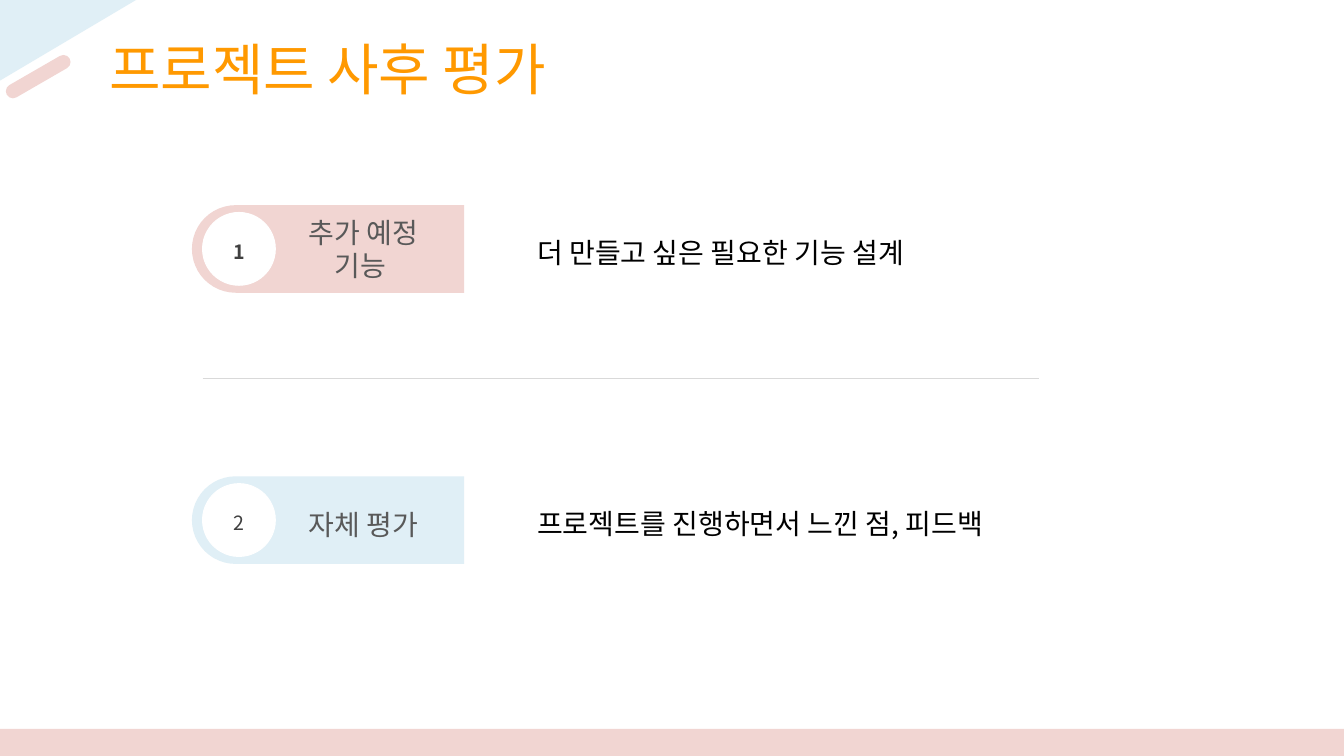
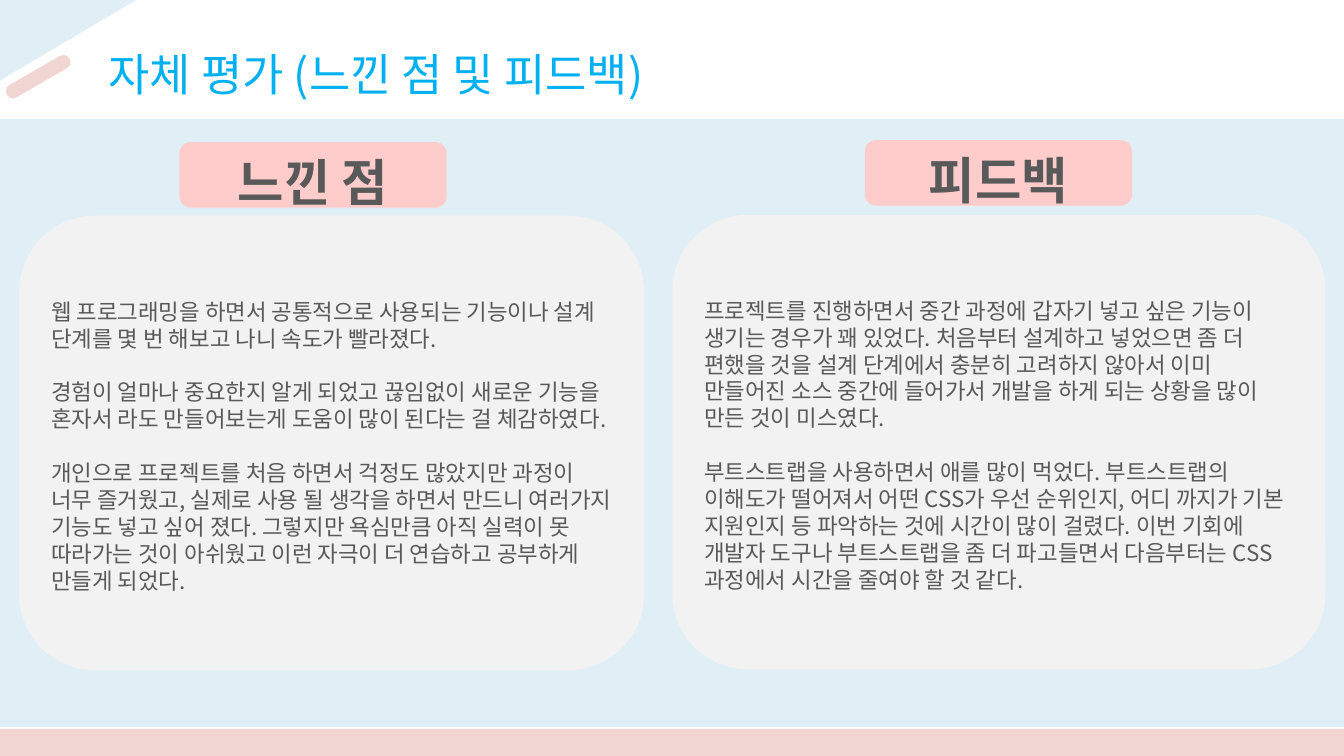
from dataclasses import dataclass

from lxml import etree
from pptx import Presentation
from pptx.dml.color import RGBColor
from pptx.enum.shapes import MSO_CONNECTOR, MSO_SHAPE
from pptx.enum.text import MSO_ANCHOR, PP_ALIGN
from pptx.oxml.ns import qn
from pptx.util import Pt

RECT = MSO_SHAPE.RECTANGLE
ROUNDED = MSO_SHAPE.ROUNDED_RECTANGLE
ROUND_TOP = MSO_SHAPE.ROUND_2_SAME_RECTANGLE
OVAL = MSO_SHAPE.OVAL
STRAIGHT = MSO_CONNECTOR.STRAIGHT
TOP, MIDDLE = MSO_ANCHOR.TOP, MSO_ANCHOR.MIDDLE
LEFT, CENTER = PP_ALIGN.LEFT, PP_ALIGN.CENTER


@dataclass(frozen=True)
class Theme:
    width: float = 960
    height: float = 540
    korean: str = "Noto Sans CJK KR"
    fallback: str = "Noto Sans CJK SC"
    white: str = "FFFFFF"
    sky: str = "E0EFF6"
    rose: str = "F1D5D2"
    pink: str = "FFCCCC"
    panel: str = "F2F2F2"
    divider: str = "D9D9D9"
    orange: str = "FF9900"
    blue: str = "00B0F0"
    black: str = "000000"
    dark: str = "404040"
    gray: str = "595959"
    title_size: float = 40
    subtitle_size: float = 32
    heading_size: float = 36
    label_size: float = 20
    body_size: float = 16
    number_size: float = 14
    inset: float = 7.2
    inset_top: float = 3.6
    line_height: float = 1.2


THEME = Theme()


@dataclass(frozen=True)
class Box:
    left: float
    top: float
    width: float
    height: float

    def lengths(self) -> tuple:
        return Pt(self.left), Pt(self.top), Pt(self.width), Pt(self.height)


@dataclass(frozen=True)
class TextStyle:
    size: float
    color: str
    font: str = THEME.korean
    bold: bool = False
    align: PP_ALIGN = CENTER
    anchor: MSO_ANCHOR = TOP
    inset: float = THEME.inset
    inset_top: float = THEME.inset_top
    spacing: float = 1
    gap: float = 0


@dataclass(frozen=True)
class Topic:
    number: str
    label: tuple
    description: str
    middle: float
    color: str
    bold: bool


@dataclass(frozen=True)
class Review:
    heading: str
    heading_box: Box
    body_box: Box
    paragraphs: tuple


LABEL = TextStyle(THEME.label_size, THEME.gray, THEME.fallback)
DESCRIPTION = TextStyle(THEME.label_size, THEME.black, THEME.fallback,
                        align=LEFT, spacing=1.2)
HEADING = TextStyle(THEME.heading_size, THEME.gray, bold=True, anchor=MIDDLE)
BODY = TextStyle(THEME.body_size, THEME.gray, align=LEFT, anchor=MIDDLE,
                 gap=THEME.body_size * THEME.line_height)

TOPICS = (
    Topic("1", ("추가 예정", "기능 "), "더 만들고 싶은 필요한 기능 설계",
          177.8, THEME.rose, True),
    Topic("2", ("자체 평가",), "프로젝트를 진행하면서 느낀 점, 피드백",
          371.5, THEME.sky, False),
)

REVIEWS = (
    Review("느낀 점", Box(128.2, 101.5, 190.8, 46.8), Box(13.7, 154.1, 446.4, 324.7), (
        "웹 프로그래밍을 하면서 공통적으로 사용되는 기능이나 설계 단계를 몇 번 해보고 나니 "
        "속도가 빨라졌다.",
        "경험이 얼마나 중요한지 알게 되었고 끊임없이 새로운 기능을 혼자서 라도 만들어보는게 "
        "도움이 많이 된다는 걸 체감하였다.",
        "개인으로 프로젝트를 처음 하면서 걱정도 많았지만 과정이 너무 즐거웠고, 실제로 사용 될 "
        "생각을 하면서 만드니 여러가지 기능도 넣고 싶어 졌다. 그렇지만 욕심만큼 아직 실력이 못 "
        "따라가는 것이 아쉬웠고 이런 자극이 더 연습하고 공부하게 만들게 되었다.",
    )),
    Review("피드백", Box(617.8, 100.1, 190.8, 46.8), Box(480.2, 153.4, 466.6, 324.7), (
        "프로젝트를 진행하면서 중간 과정에 갑자기 넣고 싶은 기능이 생기는 경우가 꽤 있었다. "
        "처음부터 설계하고 넣었으면 좀 더 편했을 것을 설계 단계에서 충분히 고려하지 않아서 이미 "
        "만들어진 소스 중간에 들어가서 개발을 하게 되는 상황을 많이 만든 것이 미스였다.",
        "부트스트랩을 사용하면서 애를 많이 먹었다. 부트스트랩의 이해도가 떨어져서 어떤 CSS가 "
        "우선 순위인지, 어디 까지가 기본 지원인지 등 파악하는 것에 시간이 많이 걸렸다. 이번 "
        "기회에 개발자 도구나 부트스트랩을 좀 더 파고들면서 다음부터는 CSS 과정에서 시간을 "
        "줄여야 할 것 같다.",
    )),
)


def apply(target, values: dict) -> None:
    for attribute, value in values.items():
        setattr(target, attribute, value)


def write(frame, paragraphs: tuple, style: TextStyle) -> None:
    drop = style.size * (0.24 if style.anchor == MIDDLE else 0.12)
    apply(frame, {
        "word_wrap": True,
        "vertical_anchor": style.anchor,
        "margin_left": Pt(style.inset),
        "margin_right": Pt(style.inset),
        "margin_top": Pt(style.inset_top + drop),
        "margin_bottom": Pt(style.inset_top),
    })
    for index, text in enumerate(paragraphs):
        paragraph = frame.add_paragraph() if index else frame.paragraphs[0]
        apply(paragraph, {
            "alignment": style.align,
            "line_spacing": Pt(style.size * THEME.line_height * style.spacing),
        })
        if index and style.gap:
            paragraph.space_before = Pt(style.gap)
        run = paragraph.add_run()
        run.text = text
        apply(run.font, {"size": Pt(style.size), "bold": style.bold, "name": style.font})
        run.font.color.rgb = RGBColor.from_string(style.color)
        east_asian = etree.SubElement(run.font._element, qn("a:ea"))
        east_asian.set("typeface", style.font)


def paint(shape, fill: str, line: str = "", line_width: float = 0) -> None:
    shape.shadow.inherit = False
    shape.fill.solid()
    shape.fill.fore_color.rgb = RGBColor.from_string(fill)
    if line:
        shape.line.color.rgb = RGBColor.from_string(line)
        shape.line.width = Pt(line_width)
    else:
        shape.line.fill.background()


def add_block(slide, kind: MSO_SHAPE, box: Box, fill: str, line: str = "",
              line_width: float = 0, rotation: float = 0, corners: tuple = ()):
    block = slide.shapes.add_shape(kind, *box.lengths())
    paint(block, fill, line, line_width)
    block.rotation = rotation
    for index, corner in enumerate(corners):
        block.adjustments[index] = corner
    return block


def add_text(slide, box: Box, paragraphs: tuple, style: TextStyle) -> None:
    write(slide.shapes.add_textbox(*box.lengths()).text_frame, paragraphs, style)


def add_divider(slide, left: float, right: float, y: float) -> None:
    divider = slide.shapes.add_connector(STRAIGHT, Pt(left), Pt(y), Pt(right), Pt(y))
    divider.line.color.rgb = RGBColor.from_string(THEME.divider)
    divider.line.width = Pt(0.5)
    etree.SubElement(divider._element.spPr, qn("a:effectLst"))


def start_slide(deck):
    slide = deck.slides.add_slide(deck.slide_layouts[6])
    corner = slide.shapes.build_freeform(0, 0)
    corner.add_line_segments([(Pt(97.2), 0), (0, Pt(57.6))], close=True)
    paint(corner.convert_to_shape(), THEME.sky)
    add_block(slide, RECT, Box(0, 520.6, THEME.width, 19.4), THEME.rose)
    add_block(slide, ROUNDED, Box(1.4, 49.7, 51.8, 10.1), THEME.rose,
              rotation=330, corners=(0.5,))
    return slide


def add_topic(slide, topic: Topic) -> None:
    middle = topic.middle
    add_block(slide, ROUND_TOP, Box(203, middle - 97.2, 62.6, 194.4), topic.color,
              rotation=270, corners=(0.5, 0))
    badge = add_block(slide, OVAL, Box(144.7, middle - 26, 52, 52),
                      THEME.white, THEME.white, 0.75)
    number = TextStyle(THEME.number_size, THEME.dark, bold=topic.bold,
                       anchor=MIDDLE, inset=0, inset_top=0)
    write(badge.text_frame, (topic.number,), number)
    label_top = middle - 15 * len(topic.label)
    add_text(slide, Box(170, label_top, 179.3, 43.9), topic.label, LABEL)
    add_text(slide, Box(376.6, middle - 20.5, 397.4, 41), (topic.description,), DESCRIPTION)


def add_review(slide, review: Review) -> None:
    body = add_block(slide, ROUNDED, review.body_box, THEME.panel)
    write(body.text_frame, review.paragraphs, BODY)
    heading = add_block(slide, ROUNDED, review.heading_box, THEME.pink)
    write(heading.text_frame, (review.heading,), HEADING)


def build_topics(deck) -> None:
    slide = start_slide(deck)
    add_text(slide, Box(13, 16.6, 442, 87), ("프로젝트 사후 평가",),
             TextStyle(THEME.title_size, THEME.orange))
    for topic in TOPICS:
        add_topic(slide, topic)
    add_divider(slide, 144.7, 742.3, THEME.height / 2)


def build_reviews(deck) -> None:
    slide = start_slide(deck)
    add_block(slide, RECT, Box(0, 85.7, THEME.width, 433.4), THEME.sky, THEME.sky, 1)
    add_text(slide, Box(23.8, 25.9, 489.6, 87), ("자체 평가 (느낀 점 및 피드백)",),
             TextStyle(THEME.subtitle_size, THEME.blue))
    for review in REVIEWS:
        add_review(slide, review)


def main() -> None:
    deck = Presentation()
    apply(deck, {"slide_width": Pt(THEME.width), "slide_height": Pt(THEME.height)})
    build_topics(deck)
    build_reviews(deck)
    deck.save("out.pptx")


if __name__ == "__main__":
    main()
